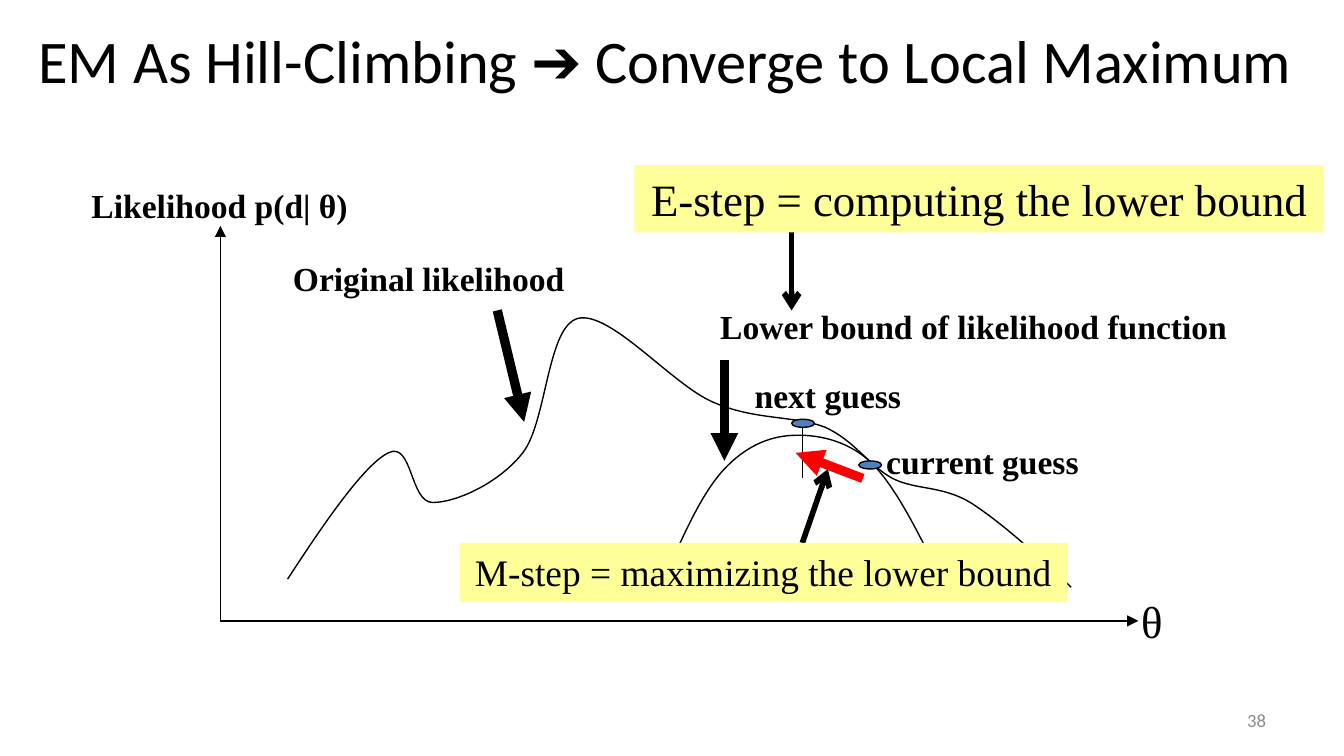
from dataclasses import dataclass

import lxml.etree
import pptx
import pptx.dml.color
import pptx.enum.shapes
import pptx.enum.text
import pptx.oxml.ns
import pptx.util

PX = 9144
SLIDE_WIDTH = 1000 * PX
SLIDE_HEIGHT = SLIDE_WIDTH * 9 // 16
qn = pptx.oxml.ns.qn
ALIGN = pptx.enum.text.PP_ALIGN
ANCHOR = pptx.enum.text.MSO_ANCHOR
AUTO = pptx.enum.text.MSO_AUTO_SIZE
SHAPE = pptx.enum.shapes.MSO_SHAPE


@dataclass(frozen=True)
class Theme:
    heading: str = "Calibri"
    body: str = "Times New Roman"
    ink: str = "000000"
    grey: str = "8C8C8C"
    red: str = "FF0000"
    note: str = "FFFF99"
    marker: str = "4F81BD"
    title_pt: float = 32.4
    large_pt: float = 24
    note_pt: float = 20
    label_pt: float = 18
    number_pt: float = 10
    thin: float = 0.75
    medium: float = 3
    thick: float = 5


T = Theme()


@dataclass(frozen=True)
class Label:
    text: str
    x: int
    y: int
    w: int
    h: int = 40
    size: float = T.label_pt
    bold: bool = True
    font: str = T.body
    color: str = T.ink
    fill: str = ""
    wrap: bool = True
    align: ALIGN = ALIGN.CENTER
    framed: bool = False


@dataclass(frozen=True)
class Arrow:
    x1: int
    y1: int
    x2: int
    y2: int
    width: float = T.thin
    head: str = "triangle"
    color: str = T.ink


@dataclass(frozen=True)
class Marker:
    x: int
    y: int
    w: int = 17
    h: int = 6


Curve = list[tuple[int, int]]

LIKELIHOOD: Curve = [
    (214, 431), (242, 388), (271, 346), (289, 337),
    (307, 328), (305, 374), (322, 374), (339, 374), (371, 360), (389, 337),
    (407, 314), (407, 243), (430, 237), (454, 231), (500, 286), (530, 299),
    (561, 313), (591, 309), (614, 318), (636, 328), (646, 346), (664, 356),
    (682, 365), (700, 361), (722, 374), (744, 388), (771, 412), (797, 437),
]
LOWER_BOUND: Curve = [
    (697, 424), (681, 392), (665, 360), (647, 343),
    (629, 327), (607, 323), (589, 324), (571, 325), (554, 333), (539, 349),
    (523, 366), (510, 395), (497, 424),
]
ARROWS = [
    Arrow(164, 462, 847, 462),
    Arrow(164, 462, 164, 168),
    Arrow(597, 312, 597, 356, head=""),
    Arrow(370, 231, 390, 314, T.thick),
    Arrow(539, 268, 539, 343, T.thick),
    Arrow(642, 356, 592, 337, T.thick, color=T.red),
    Arrow(597, 404, 616, 349, T.medium, "arrow"),
    Arrow(589, 173, 589, 231, T.medium, "arrow"),
]
MARKERS = [Marker(639, 343), Marker(589, 312)]
LABELS = [
    Label("EM As Hill-Climbing ➔ Converge to Local Maximum", 0, 15, 990, 58,
          T.title_pt, False, T.heading, framed=True),
    Label("Likelihood p(d| θ)", 57, 133, 213, wrap=False),
    Label("θ", 838, 437, 38, 50, T.large_pt, False, wrap=False),
    Label("current guess", 637, 323, 188),
    Label("Lower bound of likelihood function", 505, 223, 439),
    Label("next guess", 522, 274, 188),
    Label("Original likelihood", 200, 187, 238),
    Label("M-step = maximizing the lower bound", 342, 404, 452, 44,
          T.note_pt, False, fill=T.note, wrap=False),
    Label("E-step = computing the lower bound", 472, 123, 513, 50,
          T.large_pt, False, fill=T.note, wrap=False),
    Label("38", 717, 521, 233, 30, T.number_pt, False, T.heading, T.grey,
          align=ALIGN.RIGHT, framed=True),
]


def rgb(value: str) -> pptx.dml.color.RGBColor:
    return pptx.dml.color.RGBColor.from_string(value)


def apply(target, values: dict) -> None:
    for name, value in values.items():
        setattr(target, name, value)


def set_line(sp, color: str, width: float) -> None:
    sp.line.color.rgb = rgb(color)
    sp.line.width = pptx.util.Pt(width)


def draw_curve(s, points: Curve) -> None:
    builder = s.shapes.build_freeform(*points[0], scale=PX)
    builder.add_line_segments(points[1:], close=False)
    sp = builder.convert_to_shape()
    sp.shadow.inherit = False
    sp.fill.background()
    set_line(sp, T.ink, T.thin)
    path = next(sp._element.iter(qn("a:path")))
    segments = path.findall(qn("a:lnTo"))
    for i in range(0, len(segments), 3):
        bezier = lxml.etree.SubElement(path, qn("a:cubicBezTo"))
        for segment in segments[i:i + 3]:
            bezier.append(segment[0])
            path.remove(segment)


def draw_arrow(s, a: Arrow) -> None:
    ends = (v * PX for v in (a.x1, a.y1, a.x2, a.y2))
    sp = s.shapes.add_connector(pptx.enum.shapes.MSO_CONNECTOR.STRAIGHT, *ends)
    set_line(sp, a.color, a.width)
    pr = sp._element.spPr
    if a.head:
        lxml.etree.SubElement(pr.find(qn("a:ln")), qn("a:tailEnd"), type=a.head)
    lxml.etree.SubElement(pr, qn("a:effectLst"))


def draw_marker(s, m: Marker) -> None:
    sp = s.shapes.add_shape(SHAPE.OVAL, *(v * PX for v in (m.x, m.y, m.w, m.h)))
    sp.shadow.inherit = False
    sp.fill.solid()
    sp.fill.fore_color.rgb = rgb(T.marker)
    set_line(sp, T.ink, T.thin)


def draw_label(s, b: Label) -> None:
    sp = s.shapes.add_textbox(*(v * PX for v in (b.x, b.y, b.w, b.h)))
    if b.fill:
        sp.fill.solid()
        sp.fill.fore_color.rgb = rgb(b.fill)
    tf = sp.text_frame
    side, edge = (8, 4) if b.framed else (10, 5)
    apply(tf, {
        "word_wrap": b.wrap,
        "auto_size": AUTO.NONE if b.framed else AUTO.SHAPE_TO_FIT_TEXT,
        "vertical_anchor": ANCHOR.MIDDLE if b.framed else ANCHOR.TOP,
        "margin_left": side * PX, "margin_right": side * PX,
        "margin_top": edge * PX, "margin_bottom": edge * PX,
    })
    p = tf.paragraphs[0]
    p.alignment = b.align
    r = p.add_run()
    r.text = b.text
    apply(r.font, {"name": b.font, "size": pptx.util.Pt(b.size), "bold": b.bold})
    r.font.color.rgb = rgb(b.color)


def main() -> None:
    prs = pptx.Presentation()
    apply(prs, {"slide_width": SLIDE_WIDTH, "slide_height": SLIDE_HEIGHT})
    s = prs.slides.add_slide(prs.slide_layouts[6])
    for draw, items in (
        (draw_curve, (LIKELIHOOD, LOWER_BOUND)),
        (draw_arrow, ARROWS),
        (draw_marker, MARKERS),
        (draw_label, LABELS),
    ):
        for item in items:
            draw(s, item)
    prs.save("out.pptx")


if __name__ == "__main__":
    main()
